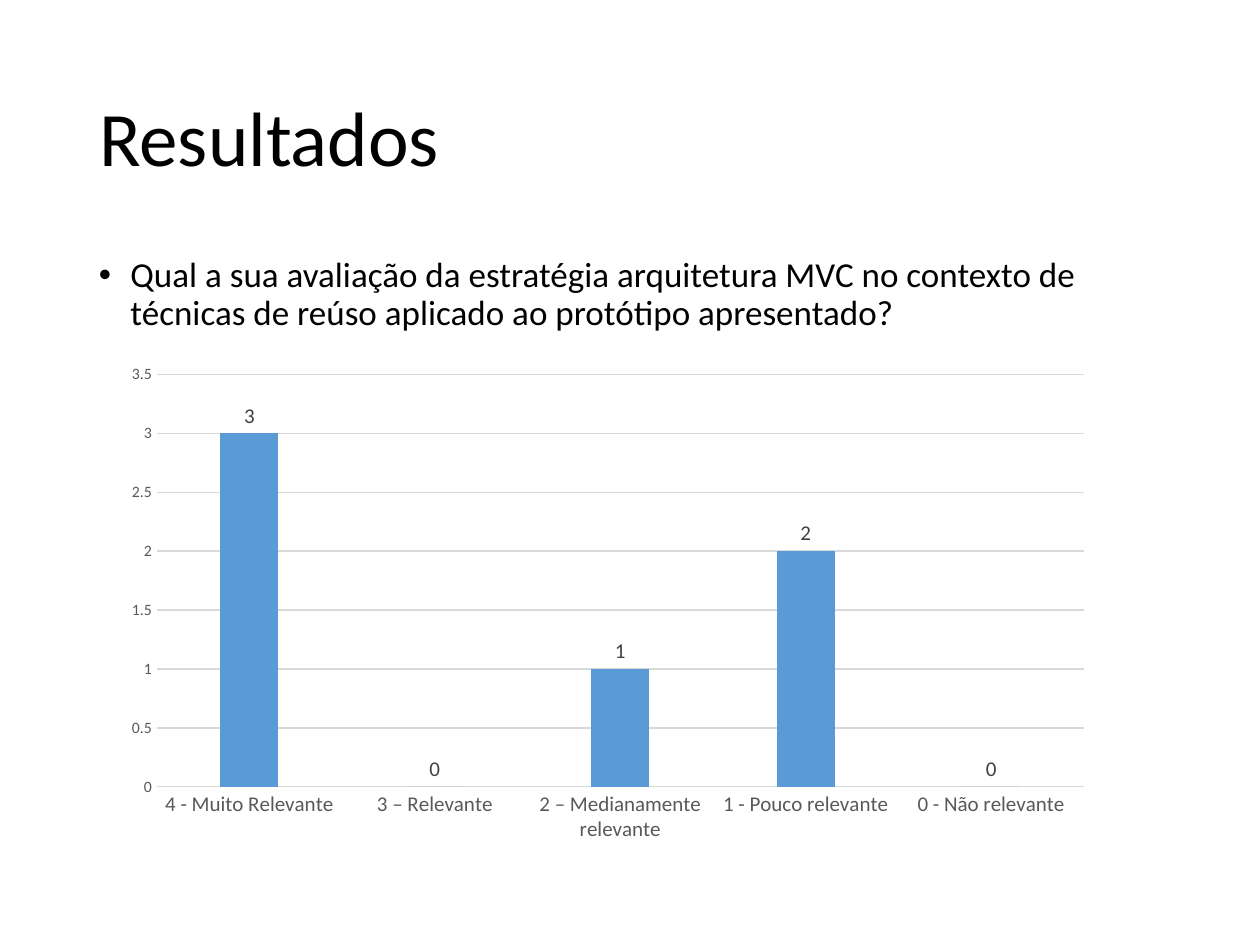
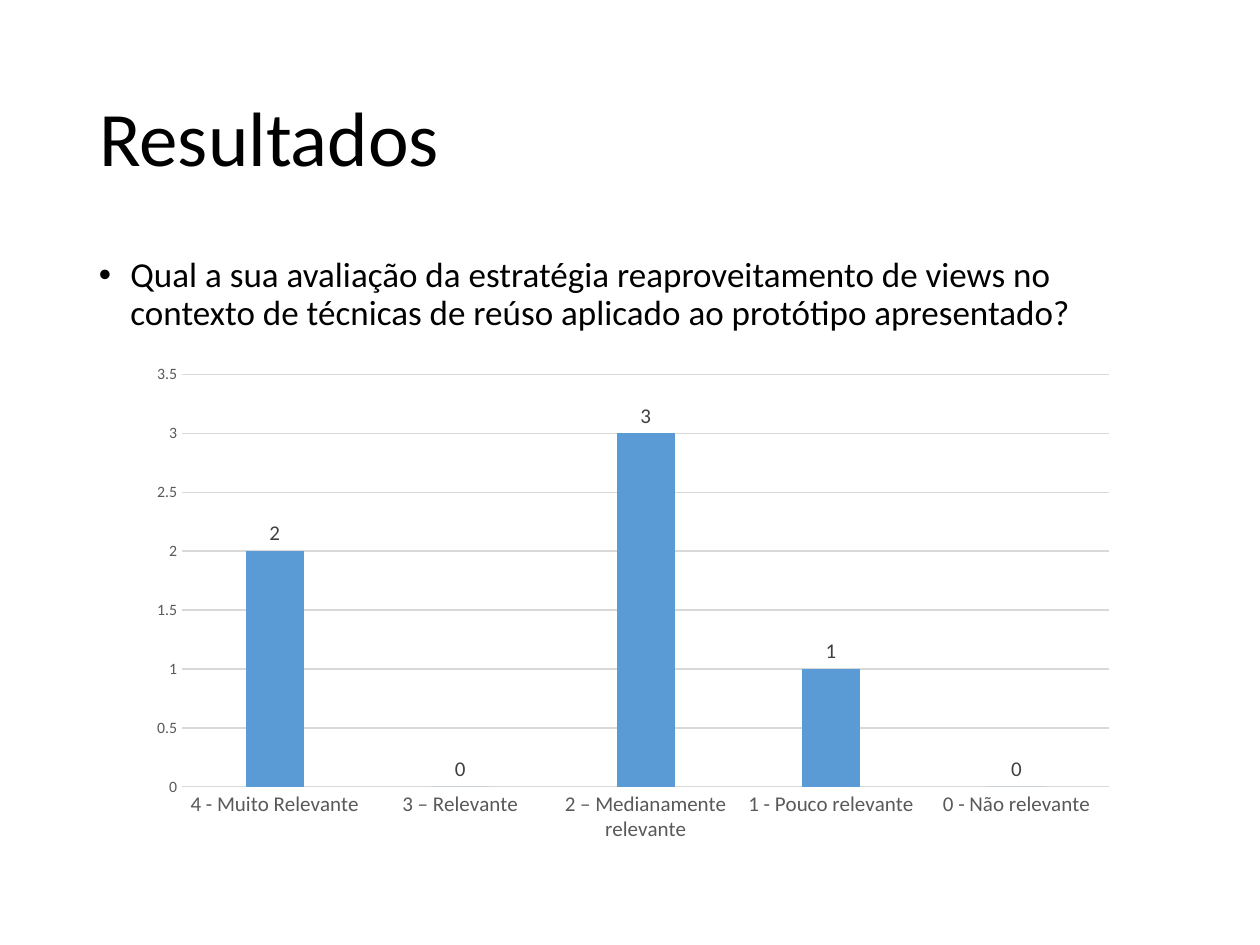
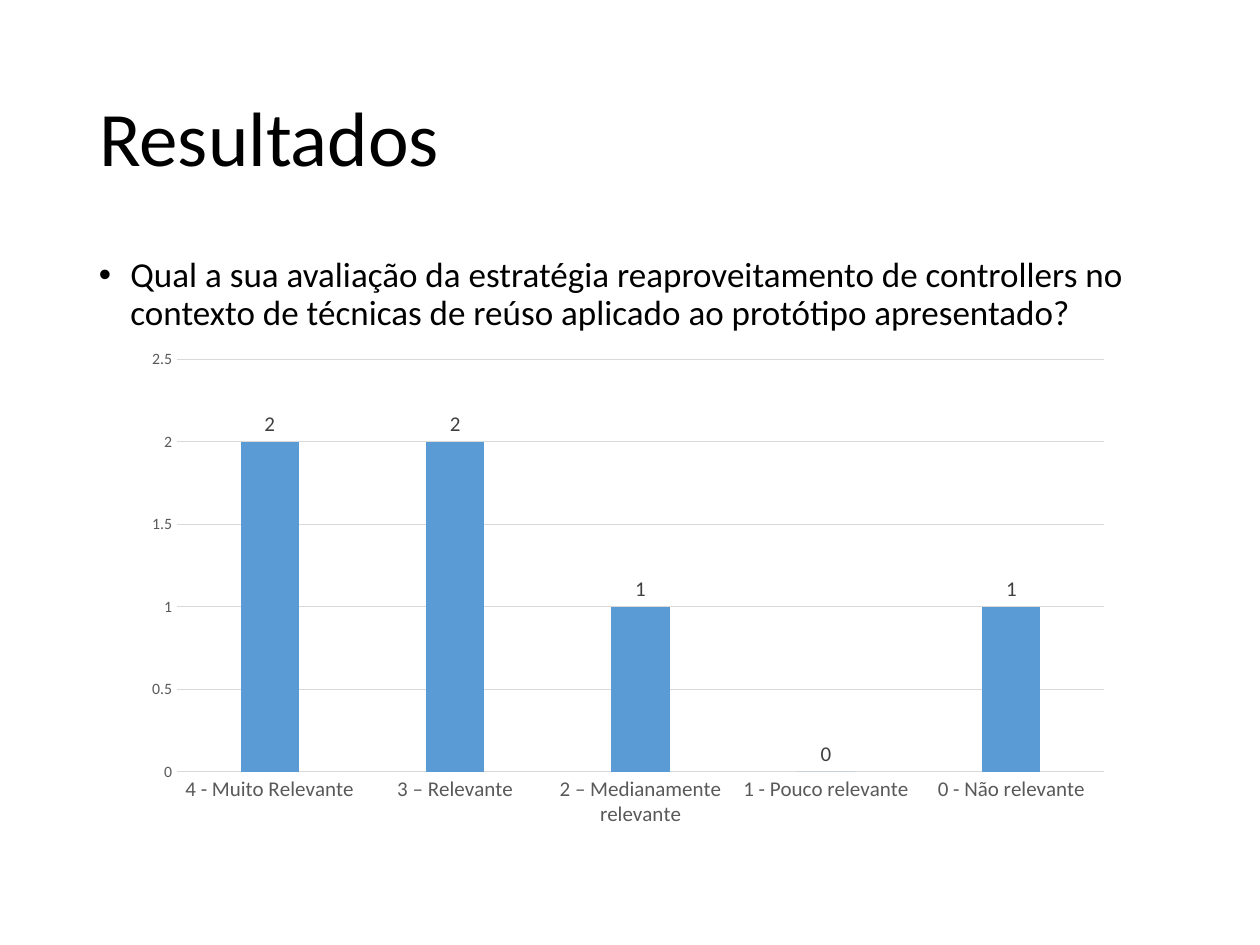
"""Builds three survey result slides, each with a question and a column chart."""
from lxml.etree import SubElement
from pptx import Presentation
from pptx.chart.data import CategoryChartData
from pptx.dml.color import RGBColor
from pptx.enum.chart import XL_CHART_TYPE, XL_LABEL_POSITION, XL_TICK_MARK
from pptx.enum.text import MSO_ANCHOR, MSO_AUTO_SIZE, PP_ALIGN
from pptx.oxml.ns import qn
from pptx.util import Pt

FONT = "Calibri"
BLACK, LABEL_GRAY, AXIS_GRAY, LINE_GRAY = "000000", "404040", "595959", "D9D9D9"
BAR_BLUE = "5B9BD5"
MARGIN, CONTENT_WIDTH = 49.5, 621
CHART_WIDTH, CHART_HEIGHT = 566.64, 283.68
CATEGORIES = [
    "4 - Muito Relevante",
    "3 – Relevante",
    "2 – Medianamente relevante",
    "1 - Pouco relevante",
    "0 - Não relevante",
]
QUESTION = "Qual a sua avaliação da estratégia {} no contexto de técnicas de reúso aplicado ao protótipo apresentado?"
RESULTS = [
    ("arquitetura MVC", [3, 0, 1, 2, 0], 64, 203),
    ("reaproveitamento de views", [2, 0, 3, 1, 0], 78.5, 203),
    ("reaproveitamento de controllers", [2, 2, 1, 0, 1], 75.6, 194.4),
]


def format_font(font, size, color):
    font.name = FONT
    font.size = Pt(size)
    font.color.rgb = RGBColor.from_string(color)


def write_text(shape, text, size, color=BLACK, anchor=MSO_ANCHOR.TOP, bullet=None, indent=18):
    frame = shape.text_frame
    frame.word_wrap = True
    frame.auto_size = MSO_AUTO_SIZE.NONE
    frame.vertical_anchor = anchor
    paragraph = frame.paragraphs[0]
    paragraph.alignment = PP_ALIGN.LEFT
    paragraph.line_spacing = 0.9
    if bullet:
        properties = paragraph._p.get_or_add_pPr()
        properties.set("marL", str(Pt(indent)))
        properties.set("indent", str(-Pt(indent)))
        SubElement(properties, qn("a:buFont"), typeface="Arial")
        SubElement(properties, qn("a:buChar"), char=bullet)
    run = paragraph.add_run()
    run.text = text
    format_font(run.font, size, color)


presentation = Presentation()
presentation.slide_width = Pt(720)
presentation.slide_height = Pt(540)

for strategy, votes, chart_left, chart_top in RESULTS:
    slide = presentation.slides.add_slide(presentation.slide_layouts[5])

    title = slide.shapes.title
    title.left, title.top = Pt(MARGIN), Pt(28.75)
    title.width, title.height = Pt(CONTENT_WIDTH), Pt(104.4)
    write_text(title, "Resultados", size=44, anchor=MSO_ANCHOR.MIDDLE)

    question = slide.shapes.add_textbox(Pt(MARGIN), Pt(143.75), Pt(CONTENT_WIDTH), Pt(342.6))
    write_text(question, QUESTION.format(strategy), size=20, bullet="•")

    chart_data = CategoryChartData()
    chart_data.categories = CATEGORIES
    chart_data.add_series("Series 1", votes)
    chart = slide.shapes.add_chart(
        XL_CHART_TYPE.COLUMN_CLUSTERED,
        Pt(chart_left), Pt(chart_top), Pt(CHART_WIDTH), Pt(CHART_HEIGHT),
        chart_data,
    ).chart
    chart.has_title = False
    chart.has_legend = False
    format_font(chart.font, 10, BLACK)

    for axis, size in ((chart.category_axis, 12), (chart.value_axis, 9)):
        axis.major_tick_mark = XL_TICK_MARK.NONE
        axis.minor_tick_mark = XL_TICK_MARK.NONE
        format_font(axis.tick_labels.font, size, AXIS_GRAY)
    chart.value_axis.minimum_scale = 0
    chart.value_axis.maximum_scale = max(votes) + 0.5
    chart.value_axis.major_unit = 0.5
    chart.value_axis.format.line.fill.background()
    for line in (chart.category_axis.format.line, chart.value_axis.major_gridlines.format.line):
        line.color.rgb = RGBColor.from_string(LINE_GRAY)
        line.width = Pt(0.75)

    plot = chart.plots[0]
    plot.vary_by_categories = False
    plot.gap_width = 219
    plot.overlap = -27
    fill = plot.series[0].format.fill
    fill.solid()
    fill.fore_color.rgb = RGBColor.from_string(BAR_BLUE)
    labels = plot.series[0].data_labels
    labels.show_value = True
    labels.position = XL_LABEL_POSITION.OUTSIDE_END
    format_font(labels.font, 12, LABEL_GRAY)

presentation.save("out.pptx")
